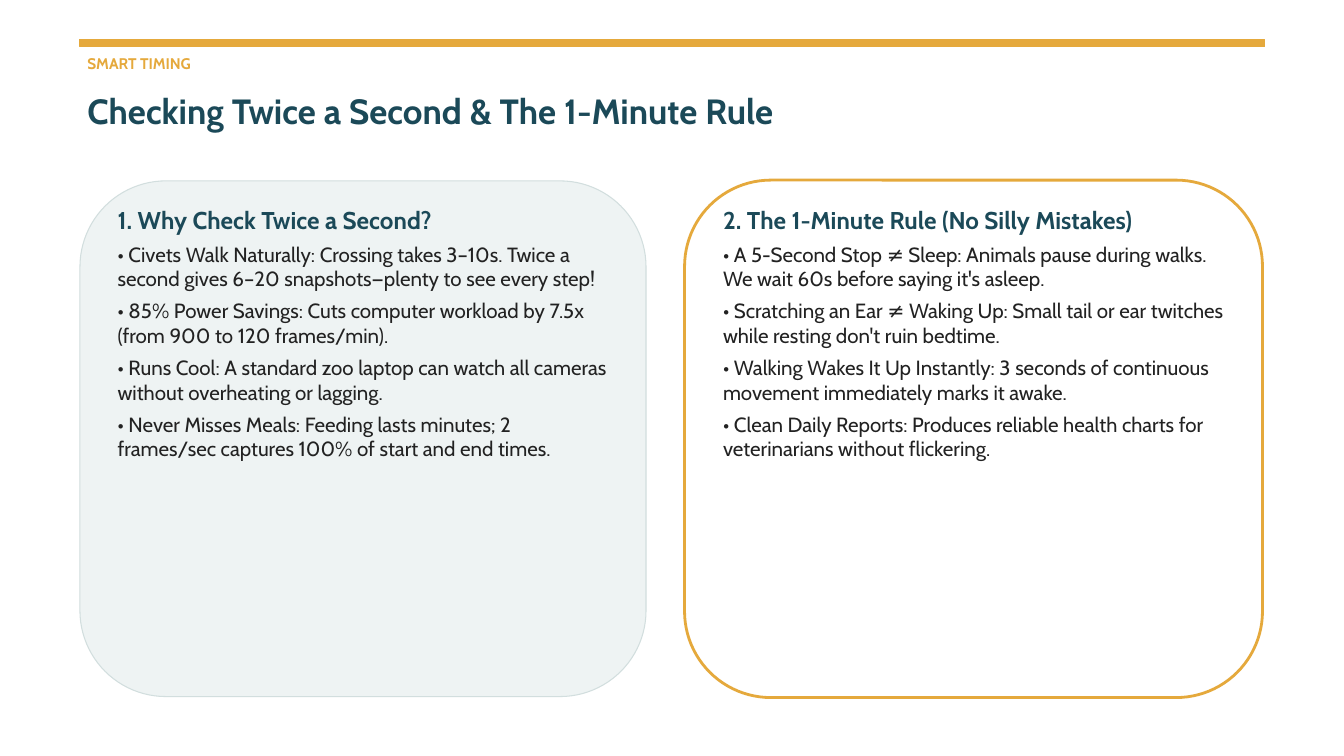
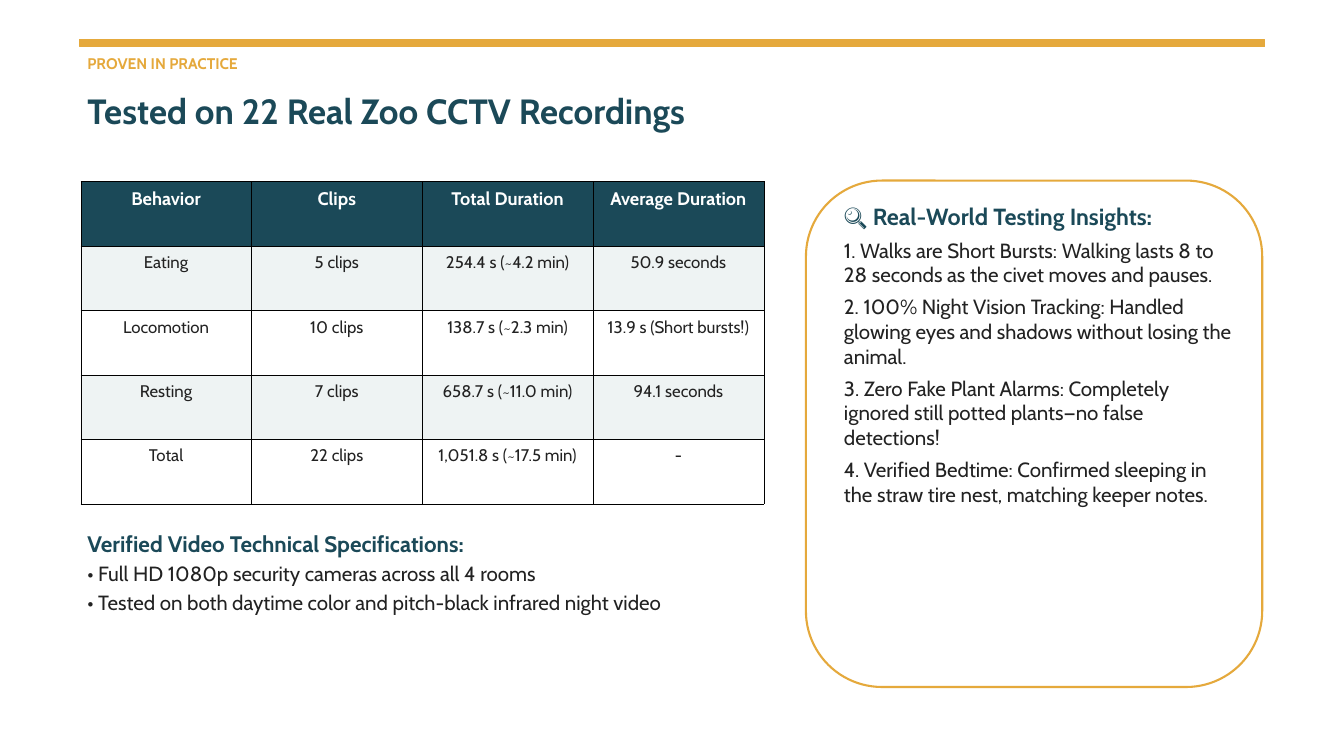
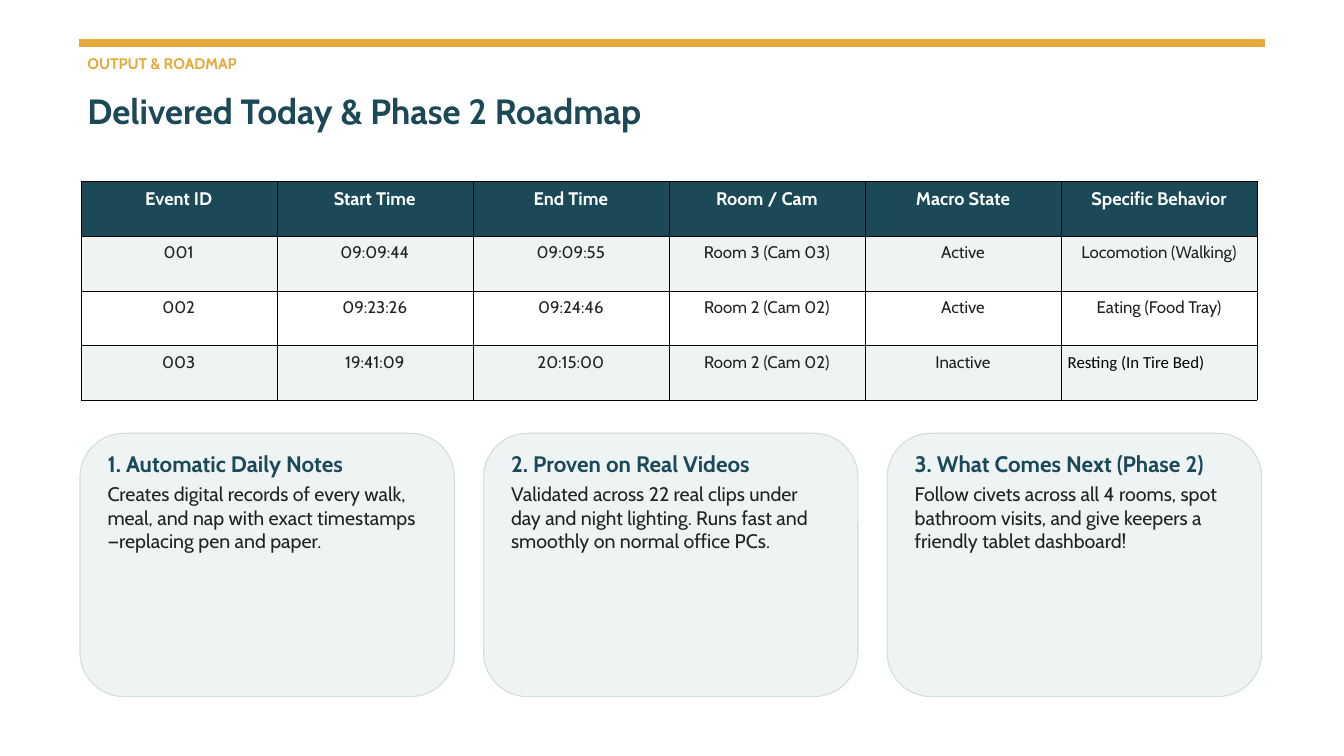
import dataclasses

import pptx
import pptx.dml.color
import pptx.enum.shapes
import pptx.enum.text
import pptx.oxml
import pptx.oxml.ns
import pptx.slide
import pptx.util

Pt = pptx.util.Pt
Align = pptx.enum.text.PP_ALIGN
Kind = pptx.enum.shapes.MSO_SHAPE


# Theme: colours, fonts and type sizes
@dataclasses.dataclass(frozen=True)
class Theme:
    gold: str = "E5A93C"
    teal: str = "1B4958"
    mist: str = "EEF3F3"
    edge: str = "D2DEDE"
    white: str = "FFFFFF"
    black: str = "000000"
    ink: str = "222222"
    font: str = "Cabin"
    plain: str = "Calibri"
    label: float = 16.5
    title: float = 37.5
    head: float = 24
    body: float = 22
    note: float = 21
    top_row: float = 19.5
    cell: float = 18


THEME = Theme()


@dataclasses.dataclass(frozen=True)
class Box:
    left: float
    top: float
    width: float
    height: float

    def shift(self, right: float) -> "Box":
        return dataclasses.replace(self, left=self.left + right)

    def lengths(self) -> list[pptx.util.Length]:
        return [Pt(size) for size in dataclasses.astuple(self)]


@dataclasses.dataclass(frozen=True)
class Style:
    size: float
    color: str
    bold: bool = False
    font: str = THEME.font
    lead: float | None = None  # exact line height
    gap: float = 0  # space before
    align: Align | None = None


@dataclasses.dataclass(frozen=True)
class Look:
    fill: str
    line: str
    weight: float


@dataclasses.dataclass(frozen=True)
class Panel:
    frame: Box
    text: Box
    look: Look
    head: str
    lines: list[str]
    head_size: float = THEME.head
    size: float = THEME.body
    gap: float = 8


@dataclasses.dataclass(frozen=True)
class Grid:
    left: float
    top: float
    col: float
    row: float
    rows: list[list[str]]


LABEL = Style(THEME.label, THEME.gold, True, lead=19.8)
TITLE = Style(THEME.title, THEME.teal, True, lead=45)
TOP_ROW = Style(THEME.top_row, THEME.white, True, lead=23.4, align=Align.CENTER)
CELL = Style(THEME.cell, THEME.ink, lead=21.6, align=Align.CENTER)
BARE = Style(THEME.cell, THEME.black, font=THEME.plain)

SOFT = Look(THEME.mist, THEME.edge, 1.13)
BOLD = Look(THEME.white, THEME.gold, 3)
FINE = Look(THEME.white, THEME.gold, 2.25)
BAR = Look(THEME.gold, THEME.gold, 1.13)


# Drawing helpers
def rgb(color: str) -> pptx.dml.color.RGBColor:
    return pptx.dml.color.RGBColor.from_string(color)


def write(frame, parts: list[tuple[str, Style]]) -> None:
    for index, (words, style) in enumerate(parts):
        para = frame.add_paragraph() if index else frame.paragraphs[0]
        if style.align is not None:
            para.alignment = style.align
        if style.lead:
            para.line_spacing = Pt(style.lead)
        if index and style.gap:
            para.space_before = Pt(style.gap)
        run = para.add_run()
        run.text = words
        run.font.name = style.font
        run.font.size = Pt(style.size)
        run.font.bold = style.bold
        run.font.color.rgb = rgb(style.color)


def add_text(slide: pptx.slide.Slide, box: Box, parts: list[tuple[str, Style]]) -> None:
    frame = slide.shapes.add_textbox(*box.lengths()).text_frame
    frame.word_wrap = True
    frame.margin_left = frame.margin_right = 0
    frame.margin_top = frame.margin_bottom = 0
    write(frame, parts)


def add_form(slide: pptx.slide.Slide, kind: Kind, box: Box, look: Look) -> None:
    shape = slide.shapes.add_shape(kind, *box.lengths())
    shape.shadow.inherit = False
    shape.fill.solid()
    shape.fill.fore_color.rgb = rgb(look.fill)
    shape.line.color.rgb = rgb(look.line)
    shape.line.width = Pt(look.weight)


def add_block(slide: pptx.slide.Slide, box: Box, head: str, lines: list[str],
              head_size: float, size: float, gap: float) -> None:
    top = Style(head_size, THEME.teal, True, lead=31.2)
    rest = Style(size, THEME.ink, gap=gap)
    add_text(slide, box, [(head, top)] + [(line, rest) for line in lines])


def add_panel(slide: pptx.slide.Slide, panel: Panel) -> None:
    add_form(slide, Kind.ROUNDED_RECTANGLE, panel.frame, panel.look)
    add_block(slide, panel.text, panel.head, panel.lines,
              panel.head_size, panel.size, panel.gap)


def add_edges(cell) -> None:
    props = cell._tc.get_or_add_tcPr()
    for index, side in enumerate(("lnL", "lnR", "lnT", "lnB")):
        props.insert(index, pptx.oxml.parse_xml(
            f'<a:{side} {pptx.oxml.ns.nsdecls("a")} w="{Pt(0.37)}"><a:solidFill>'
            f'<a:srgbClr val="{THEME.black}"/></a:solidFill></a:{side}>'))


def add_grid(slide: pptx.slide.Slide, grid: Grid,
             odd: dict[str, Style] | None = None) -> None:
    """Draw a table; odd gives the style of cells that differ, by their text."""
    count, wide = len(grid.rows), len(grid.rows[0])
    box = Box(grid.left, grid.top, grid.col * wide, grid.row * count)
    table = slide.shapes.add_table(count, wide, *box.lengths()).table
    for col in table.columns:
        col.width = Pt(grid.col)
    for r, words in enumerate(grid.rows):
        table.rows[r].height = Pt(grid.row)
        fill = THEME.teal if r == 0 else THEME.mist if r % 2 else THEME.white
        for c, word in enumerate(words):
            cell = table.cell(r, c)
            cell.margin_left = cell.margin_right = Pt(7.2)
            cell.margin_top = cell.margin_bottom = Pt(7.2)
            cell.fill.solid()
            cell.fill.fore_color.rgb = rgb(fill)
            add_edges(cell)
            style = TOP_ROW if r == 0 else (odd or {}).get(word, CELL)
            write(cell.text_frame, [(word, style)])


def add_page(deck, label: str, title: str) -> pptx.slide.Slide:
    slide = deck.slides.add_slide(deck.slide_layouts[6])
    slide.background.fill.solid()
    slide.background.fill.fore_color.rgb = rgb(THEME.white)
    add_form(slide, Kind.RECTANGLE, Box(85.7, 42.3, 1269.4, 8), BAR)
    add_text(slide, Box(93.6, 57.6, 1253.5, 31), [(label, LABEL)])
    add_text(slide, Box(93.6, 95.8, 1253.5, 79), [(title, TITLE)])
    return slide


# Slide 1: two panels on timing
def add_timing(deck) -> None:
    slide = add_page(deck, "SMART TIMING", "Checking Twice a Second & The 1-Minute Rule")
    add_panel(slide, Panel(
        Box(85.7, 193.8, 606.5, 552.5), Box(126, 219.6, 526.3, 307.4), SOFT,
        "1. Why Check Twice a Second?",
        ["• Civets Walk Naturally: Crossing takes 3–10s. Twice a second gives "
         "6–20 snapshots—plenty to see every step!",
         "• 85% Power Savings: Cuts computer workload by 7.5x "
         "(from 900 to 120 frames/min).",
         "• Runs Cool: A standard zoo laptop can watch all cameras "
         "without overheating or lagging.",
         "• Never Misses Meals: Feeding lasts minutes; 2 frames/sec captures "
         "100% of start and end times."], head_size=26))
    add_panel(slide, Panel(
        Box(733.5, 193, 619.2, 554.4), Box(774.7, 219.6, 537.1, 369.4), BOLD,
        "2. The 1-Minute Rule (No Silly Mistakes)",
        ["• A 5-Second Stop ≠ Sleep: Animals pause during walks. "
         "We wait 60s before saying it's asleep.",
         "• Scratching an Ear ≠ Waking Up: Small tail or ear twitches "
         "while resting don't ruin bedtime.",
         "• Walking Wakes It Up Instantly: 3 seconds of continuous movement "
         "immediately marks it awake.",
         "• Clean Daily Reports: Produces reliable health charts for "
         "veterinarians without flickering."], head_size=26))


# Slide 2: test results and insights
def add_tests(deck) -> None:
    slide = add_page(deck, "PROVEN IN PRACTICE", "Tested on 22 Real Zoo CCTV Recordings")
    add_grid(slide, Grid(86.4, 194.4, 183, 69.1, [
        ["Behavior", "Clips", "Total Duration", "Average Duration"],
        ["Eating", "5 clips", "254.4 s (~4.2 min)", "50.9 seconds"],
        ["Locomotion", "10 clips", "138.7 s (~2.3 min)", "13.9 s (Short bursts!)"],
        ["Resting", "7 clips", "658.7 s (~11.0 min)", "94.1 seconds"],
        ["Total", "22 clips", "1,051.8 s (~17.5 min)", "-"],
    ]))
    add_block(slide, Box(93.6, 566, 720.7, 92.2),
              "Verified Video Technical Specifications:",
              ["• Full HD 1080p security cameras across all 4 rooms",
               "• Tested on both daytime color and pitch-black infrared night video"],
              THEME.head, THEME.body, 4)
    add_panel(slide, Panel(
        Box(863.5, 193.5, 488.9, 542.6), Box(904.3, 215.3, 417.6, 404), FINE,
        "🔍 Real-World Testing Insights:",
        ["1. Walks are Short Bursts: Walking lasts 8 to 28 seconds "
         "as the civet moves and pauses.",
         "2. 100% Night Vision Tracking: Handled glowing eyes and shadows "
         "without losing the animal.",
         "3. Zero Fake Plant Alarms: Completely ignored still potted "
         "plants—no false detections!",
         "4. Verified Bedtime: Confirmed sleeping in the straw tire nest, "
         "matching keeper notes."], head_size=25))


# Slide 3: event log and three cards
def add_plan(deck) -> None:
    slide = add_page(deck, "OUTPUT & ROADMAP", "Delivered Today & Phase 2 Roadmap")
    rest = "Resting (In Tire Bed)"
    add_grid(slide, Grid(86.4, 194.4, 210.1, 58.6, [
        ["Event ID", "Start Time", "End Time", "Room / Cam", "Macro State",
         "Specific Behavior"],
        ["001", "09:09:44", "09:09:55", "Room 3 (Cam 03)", "Active",
         "Locomotion (Walking)"],
        ["002", "09:23:26", "09:24:46", "Room 2 (Cam 02)", "Active",
         "Eating (Food Tray)"],
        ["003", "19:41:09", "20:15:00", "Room 2 (Cam 02)", "Inactive", rest],
    ]), {rest: BARE})
    cards = [
        ("1. Automatic Daily Notes",
         "Creates digital records of every walk, meal, and nap with exact "
         "timestamps—replacing pen and paper."),
        ("2. Proven on Real Videos",
         "Validated across 22 real clips under day and night lighting. "
         "Runs fast and smoothly on normal office PCs."),
        ("3. What Comes Next (Phase 2)",
         "Follow civets across all 4 rooms, spot bathroom visits, and give "
         "keepers a friendly tablet dashboard!"),
    ]
    frame, text = Box(85.7, 464.2, 401.2, 282.2), Box(115.2, 479.5, 342, 215)
    for index, (head, words) in enumerate(cards):
        step = 432.4 * index
        add_panel(slide, Panel(frame.shift(step), text.shift(step), SOFT, head,
                               [words], size=THEME.note, gap=6))


def main() -> None:
    deck = pptx.Presentation()
    deck.slide_width, deck.slide_height = Pt(1440), Pt(810)
    add_timing(deck)
    add_tests(deck)
    add_plan(deck)
    deck.save("out.pptx")


if __name__ == "__main__":
    main()
